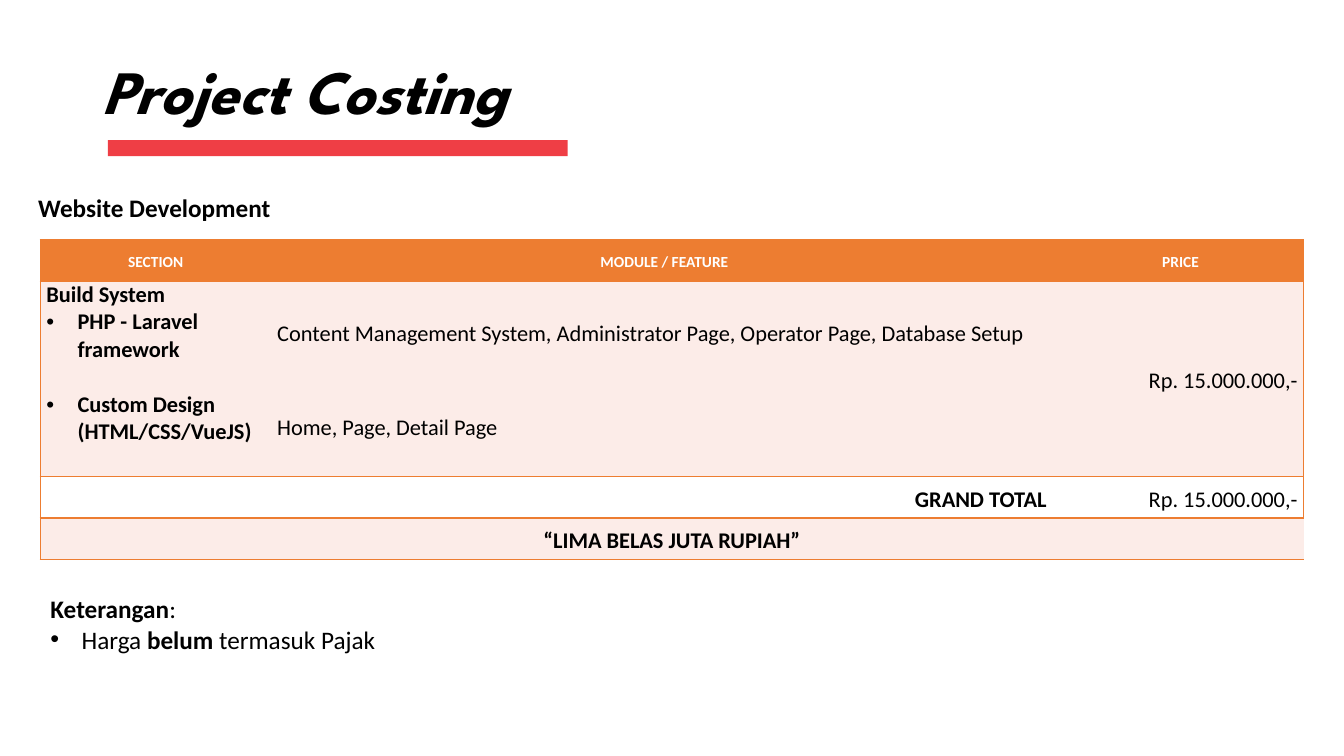
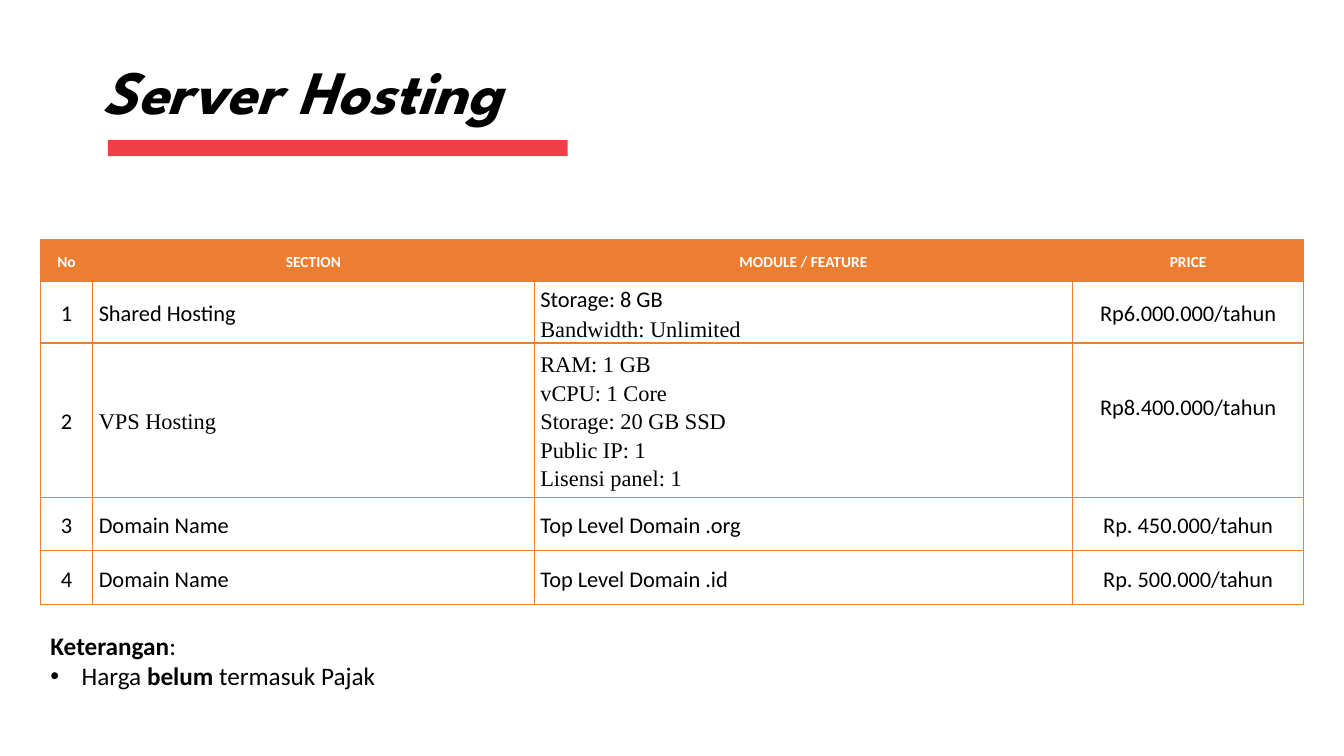
from lxml.etree import SubElement
from pptx import Presentation
from pptx.dml.color import RGBColor
from pptx.enum.shapes import MSO_SHAPE
from pptx.enum.text import MSO_ANCHOR, MSO_AUTO_SIZE, PP_ALIGN
from pptx.oxml.ns import qn
from pptx.util import Inches, Pt

COLORS = {
    "black": "000000",
    "white": "FFFFFF",
    "red": "EF3E45",
    "orange": "ED7D31",
    "blush": "FCECE8",
}
PLAIN_TABLE_STYLE = "{2D5ABB26-0587-4C30-8999-92F81FD0307C}"
CENTER, RIGHT, JUSTIFY = PP_ALIGN.CENTER, PP_ALIGN.RIGHT, PP_ALIGN.JUSTIFY
SERIF = "Times New Roman"


def color_of(name):
    """Return the palette colour with this name."""
    return RGBColor.from_string(COLORS[name])


def write(frame, text, size=16, font="Calibri", color="black", bold=False,
          italic=False, align=PP_ALIGN.LEFT, leading=1.0, before=0, bullet=False):
    """Add a paragraph to the frame, with parts between ** switched in weight."""
    para = frame.add_paragraph() if frame.text else frame.paragraphs[0]
    para.alignment = align
    para.line_spacing = leading
    para.space_before = Pt(before)
    properties = para._p.get_or_add_pPr()
    indent = Inches(0.31) if bullet else 0
    properties.set("marL", str(indent))
    properties.set("indent", str(-indent))
    if bullet:
        SubElement(properties, qn("a:buFont"), typeface="Arial")
        SubElement(properties, qn("a:buChar"), char="•")
    else:
        SubElement(properties, qn("a:buNone"))
    for index, part in enumerate(text.split("**")):
        if part:
            span = para.add_run()
            span.text = part
            span.font.name = font
            span.font.size = Pt(size)
            span.font.bold = bold != (index % 2 == 1)
            span.font.italic = italic
            span.font.color.rgb = color_of(color)


class Page:
    """Hold the deck style and the slide being drawn."""

    def __init__(self, deck, title):
        """Start a slide with its title and underline."""
        self.slide = deck.slides.add_slide(deck.slide_layouts[1])
        box = self.place(self.slide.shapes.title, 0.92, 0.21, 11.5, 1.45)
        box.text_frame.vertical_anchor = MSO_ANCHOR.MIDDLE
        write(box.text_frame, title, size=44, font="League Spartan",
              bold=True, italic=True, leading=0.9)
        self.bar(1.07, 1.39, 4.56, 0.16)

    def place(self, box, left, top, width, height):
        """Move and size a placeholder."""
        box.left, box.top = Inches(left), Inches(top)
        box.width, box.height = Inches(width), Inches(height)
        return box

    def bar(self, left, top, width, height):
        """Draw a plain red bar."""
        bar = self.slide.shapes.add_shape(
            MSO_SHAPE.RECTANGLE, Inches(left), Inches(top), Inches(width), Inches(height))
        bar.shadow.inherit = False
        bar.fill.solid()
        bar.fill.fore_color.rgb = color_of("red")
        bar.line.fill.background()

    def label(self, text, left, top, width, height):
        """Write a bold heading on one line."""
        box = self.slide.shapes.add_textbox(
            Inches(left), Inches(top), Inches(width), Inches(height))
        box.text_frame.word_wrap = False
        write(box.text_frame, text, size=18, bold=True)

    def remarks(self, top):
        """Write the remarks below the table."""
        box = self.place(self.slide.placeholders[1], 0.4, top, 5.13, 0.71)
        box.text_frame.auto_size = MSO_AUTO_SIZE.SHAPE_TO_FIT_TEXT
        write(box.text_frame, "**Keterangan**:", size=18)
        write(box.text_frame, "Harga **belum **termasuk Pajak", size=18, bullet=True)

    def table(self, headings, widths, heights, fills, inner_lines):
        """Add a bordered table with a filled heading row."""
        frame = self.slide.shapes.add_table(
            len(heights), len(widths), Inches(0.4), Inches(2.38),
            Inches(sum(widths)), Inches(sum(heights)))
        table = frame.table
        table._tbl.tblPr.find(qn("a:tableStyleId")).text = PLAIN_TABLE_STYLE
        for column, width in zip(table.columns, widths):
            column.width = Inches(width)
        last = len(widths) - 1
        for row, height, fill in zip(table.rows, heights, fills):
            row.height = Inches(height)
            for index, cell in enumerate(row.cells):
                sides = "TB"
                if inner_lines or index == last:
                    sides = "R" + sides
                if inner_lines or index == 0:
                    sides = "L" + sides
                self.style_cell(cell, fill, sides)
        for index, heading in enumerate(headings):
            write(table.cell(0, index).text_frame, heading, size=11, color="white",
                  bold=True, align=CENTER, leading=1.15)
        return table

    def style_cell(self, cell, fill, sides):
        """Set the margins, borders and fill of a cell."""
        cell.margin_left = cell.margin_right = Inches(0.06)
        cell.margin_top = cell.margin_bottom = 0
        cell.vertical_anchor = MSO_ANCHOR.MIDDLE
        properties = cell._tc.get_or_add_tcPr()
        for side in sides:
            line = SubElement(properties, qn(f"a:ln{side}"), w=str(Pt(1)))
            paint = SubElement(line, qn("a:solidFill"))
            SubElement(paint, qn("a:srgbClr"), val=COLORS["orange"])
        cell.fill.solid()
        cell.fill.fore_color.rgb = color_of(fill)


def draw_costing(deck):
    """Draw the website development costs."""
    page = Page(deck, "Project Costing")
    page.label("Website Development", 0.28, 1.86, 2.52, 0.4)
    table = page.table(
        ["SECTION", "MODULE / FEATURE", "PRICE"], [2.29, 7.8, 2.44],
        [0.41, 1.94, 0.41, 0.41], ["orange", "blush", "white", "blush"],
        inner_lines=False)
    section = table.cell(1, 0)
    section.vertical_anchor = MSO_ANCHOR.TOP
    write(section.text_frame, "Build System", bold=True)
    write(section.text_frame, "PHP - Laravel framework", bold=True, bullet=True)
    write(section.text_frame, "Custom Design (HTML/CSS/VueJS)", bold=True,
          bullet=True, before=19.5)
    features = table.cell(1, 1).text_frame
    write(features, "Content Management System, Administrator Page, Operator Page, Database Setup",
          align=JUSTIFY, leading=1.15)
    write(features, "Home, Page, Detail Page", align=JUSTIFY, leading=1.15, before=45)
    for row in (1, 2):
        write(table.cell(row, 2).text_frame, "Rp. 15.000.000,-", align=RIGHT, leading=1.15)
    write(table.cell(2, 1).text_frame, "GRAND TOTAL ", bold=True, align=RIGHT, leading=1.15)
    table.cell(3, 0).merge(table.cell(3, 2))
    write(table.cell(3, 0).text_frame, "“LIMA BELAS JUTA RUPIAH”", bold=True,
          align=CENTER, leading=1.15)
    page.remarks(5.84)


def draw_hosting(deck):
    """Draw the yearly hosting costs."""
    page = Page(deck, "Server Hosting")
    table = page.table(
        ["No", "SECTION", "MODULE / FEATURE", "PRICE"], [0.52, 4.38, 5.34, 2.29],
        [0.41, 0.61, 1.53, 0.53, 0.53], ["orange"] + ["white"] * 4, inner_lines=True)
    offers = [
        ("Shared Hosting", "Calibri",
         [("Storage: 8 GB", "Calibri"), ("Bandwidth: Unlimited", SERIF)],
         "Rp6.000.000/tahun"),
        ("VPS Hosting", SERIF,
         [(feature, SERIF) for feature in (
             "RAM: 1 GB", "vCPU: 1 Core", "Storage: 20 GB SSD",
             "Public IP: 1", "Lisensi panel: 1")],
         "Rp8.400.000/tahun"),
        ("Domain Name", "Calibri", [("Top Level Domain .org", "Calibri")],
         "Rp. 450.000/tahun"),
        ("Domain Name", "Calibri", [("Top Level Domain .id", "Calibri")],
         "Rp. 500.000/tahun"),
    ]
    for row, (section, font, features, price) in enumerate(offers, start=1):
        number_cell, section_cell, feature_cell, price_cell = table.rows[row].cells
        write(number_cell.text_frame, str(row), align=CENTER, leading=1.15)
        write(section_cell.text_frame, section, font=font, leading=1.15)
        for feature, feature_font in features:
            write(feature_cell.text_frame, feature, font=feature_font,
                  align=JUSTIFY, leading=1.15)
        write(price_cell.text_frame, price, align=CENTER, leading=1.15)
    table.cell(2, 3).margin_bottom = Inches(0.28)
    page.remarks(6.2)


def main():
    """Build and save the deck."""
    deck = Presentation()
    deck.slide_width, deck.slide_height = Inches(13.33), Inches(7.5)
    draw_costing(deck)
    draw_hosting(deck)
    deck.save("out.pptx")


if __name__ == "__main__":
    main()
